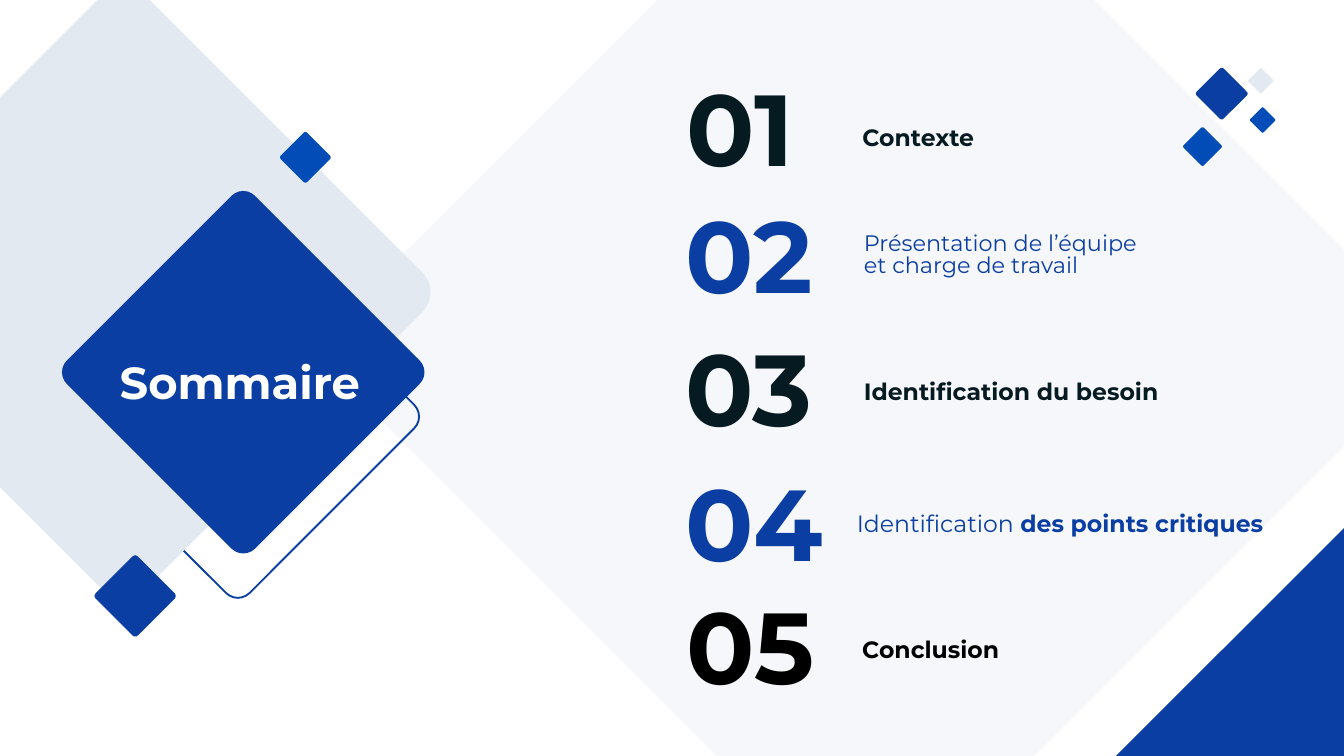
"""Build the "Sommaire" slide: five numbered sections beside a cluster of diamonds."""
from lxml import etree
from pptx import Presentation, util as u
from pptx.dml import color
from pptx.enum import shapes, text
from pptx.oxml import ns

COLOURS = {"blue": "0B3EA2", "bright": "014CB7", "pale": "E2E9F1",
           "ink": "061A21", "black": "000000", "white": "FFFFFF"}
FONT = "Montserrat"
SIDE_RATIO, CORNER_RATIO = 0.728, 0.0625

# (centre x, centre y, diagonal, fill, line, opacity in percent)
DIAMONDS = [
    (469, 186.5, 589.7, "pale", None, 34),
    (127.4, 223.2, 195.8, None, "blue", 100),
    (66.2, 156.6, 331.5, "pale", None, 100),
    (654.5, 50.2, 28, "blue", None, 100),
    (130.3, 199.4, 195.8, "blue", None, 100),
    (644.2, 78.5, 20.9, "bright", None, 100),
    (676.4, 64.3, 13.7, "bright", None, 100),
    (675.4, 43.3, 13.7, "pale", None, 100),
    (733.7, 426, 304.6, "blue", None, 100),
    (163.6, 84.3, 27.4, "bright", None, 100),
    (72.4, 319.3, 43.9, "blue", None, 100),
]

TITLE = ("Sommaire", (53.5, 186.7, 150, 23.8))

# (number, its left and top, colour, label size, label lines: left, top, runs of (words, bold))
SECTIONS = [
    ("01", 360.7, 46.8, "ink", 12.6, [(434, 66.5, [("Contexte", True)])]),
    ("02", 360, 114.5, "blue", 12, [(434.8, 122.8, [("Présentation de l’équipe", False)]),
                                    (434.8, 134.6, [("et charge de travail", False)])]),
    ("03", 360, 185.8, "ink", 12.6, [(434.8, 202.7, [("Identification du besoin", True)])]),
    ("04", 360, 258.5, "blue", 12.6, [(431, 273.6, [("Identification", False),
                                                    (" des points critiques", True)])]),
    ("05", 360.7, 324, "black", 12.6, [(433.9, 341, [("Conclusion", True)])]),
]
NUMBER_SIZE = (90, 41.8)
LABEL_SIZE = (256, 14.4)
LABEL_FORMAT = {"vertical_anchor": text.MSO_ANCHOR.BOTTOM, "margin_left": u.Pt(28),
                "margin_top": 0, "margin_right": 0, "margin_bottom": 0}


def rgb(name):
    return color.RGBColor.from_string(COLOURS[name])


def add_diamond(page, x, y, diagonal, fill, line, opacity):
    side = diagonal * SIDE_RATIO
    diamond = page.shapes.add_shape(
        shapes.MSO_SHAPE.ROUNDED_RECTANGLE,
        *map(u.Pt, (x - side / 2, y - side / 2, side, side)))
    diamond.adjustments[0] = CORNER_RATIO
    diamond.rotation = 45
    diamond.shadow.inherit = False
    if fill:
        diamond.fill.solid()
        diamond.fill.fore_color.rgb = rgb(fill)
    else:
        diamond.fill.background()
    if line:
        diamond.line.color.rgb = rgb(line)
        diamond.line.width = u.Pt(1)
    else:
        diamond.line.fill.background()
    if opacity < 100:
        tint = diamond.fill._xPr.find(".//" + ns.qn("a:srgbClr"))
        etree.SubElement(tint, ns.qn("a:alpha"), val=str(opacity * 1000))


def add_text(page, bounds, runs, size, colour, frame_format, align=text.PP_ALIGN.LEFT):
    frame = page.shapes.add_textbox(*map(u.Pt, bounds)).text_frame
    for name, value in {"word_wrap": True, **frame_format}.items():
        setattr(frame, name, value)
    para = frame.paragraphs[0]
    para.alignment = align
    for words, bold in runs:
        span = para.add_run()
        span.text = words
        for name, value in {"name": FONT, "size": u.Pt(size), "bold": bold}.items():
            setattr(span.font, name, value)
        span.font.color.rgb = rgb(colour)


def main():
    deck = Presentation()
    deck.slide_width, deck.slide_height = u.Pt(720), u.Pt(405)
    page = deck.slides.add_slide(deck.slide_layouts[6])
    for diamond in DIAMONDS:
        add_diamond(page, *diamond)
    title, bounds = TITLE
    add_text(page, bounds, [(title, True)], 24, "white", {}, text.PP_ALIGN.CENTER)
    for number, left, top, colour, size, lines in SECTIONS:
        add_text(page, (left, top, *NUMBER_SIZE), [(number, True)], 54, colour,
                 {"vertical_anchor": text.MSO_ANCHOR.MIDDLE})
        for label_left, label_top, runs in lines:
            add_text(page, (label_left, label_top, *LABEL_SIZE), runs, size, colour, LABEL_FORMAT)
    deck.save("out.pptx")


if __name__ == "__main__":
    main()
